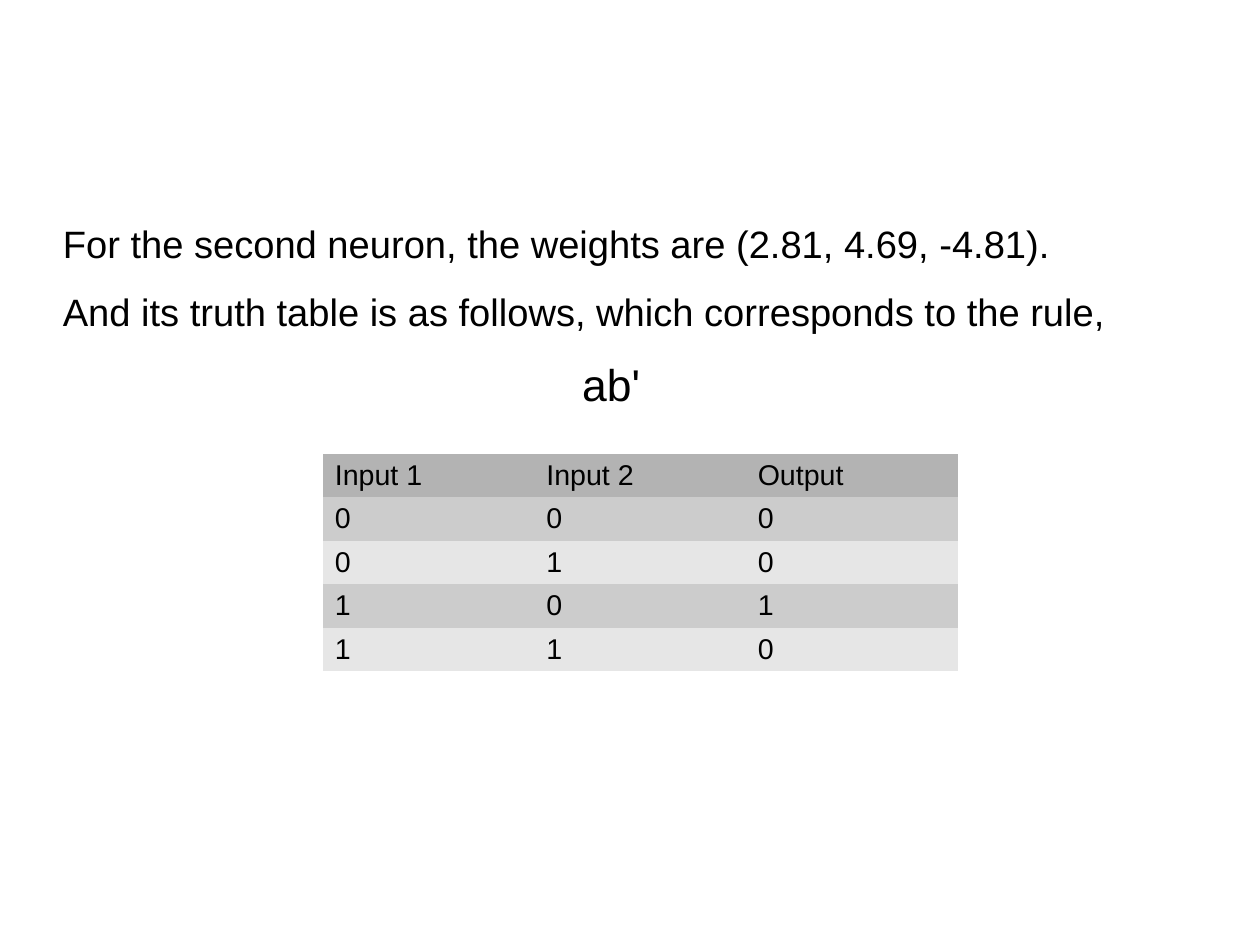
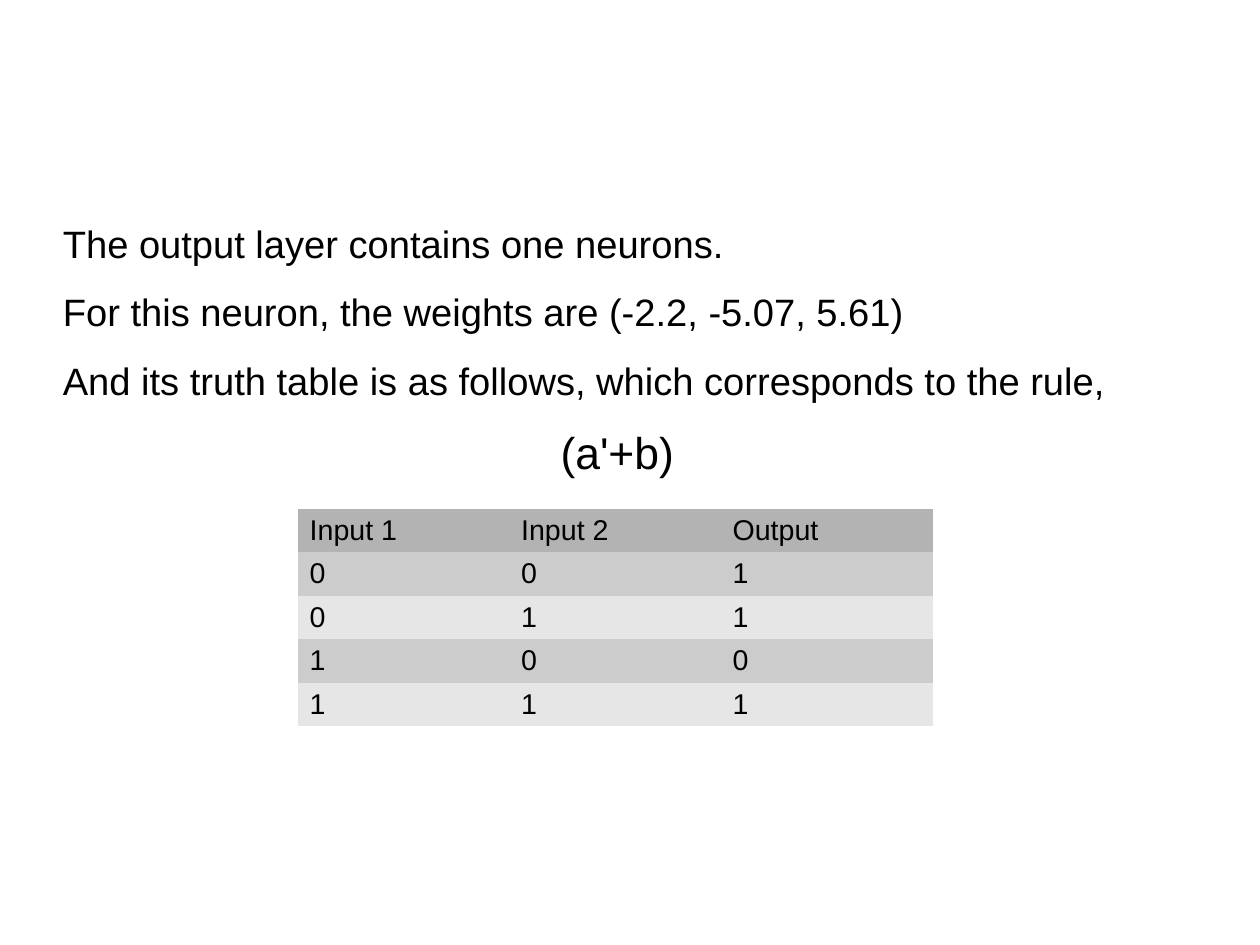
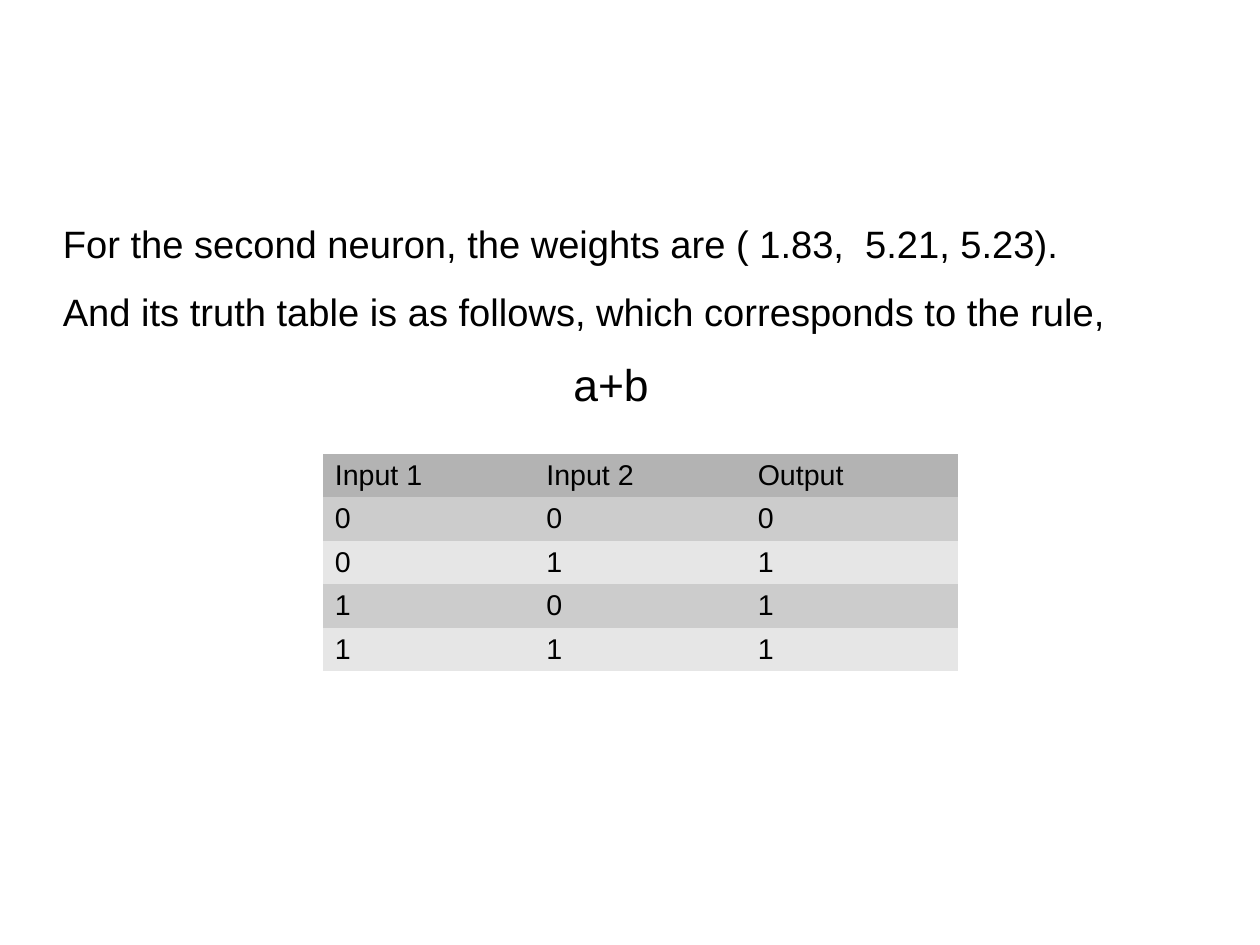
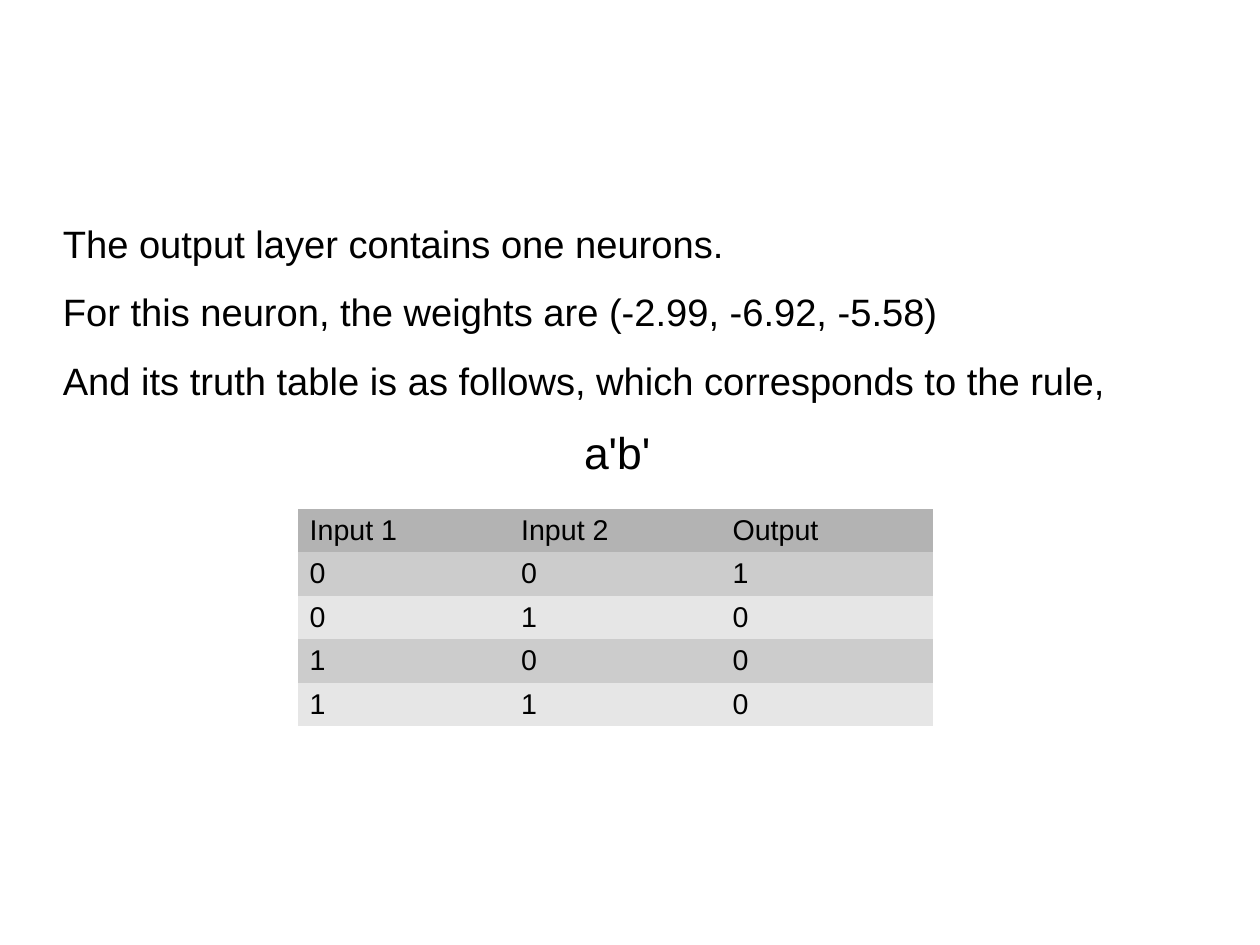
from dataclasses import dataclass
from itertools import product

from lxml.etree import SubElement
from pptx import Presentation
from pptx.dml.color import RGBColor
from pptx.enum.text import MSO_ANCHOR, MSO_AUTO_SIZE, PP_ALIGN
from pptx.oxml.ns import qn
from pptx.util import Inches, Pt

RULE_LEAD = "And its truth table is as follows, which corresponds to the rule,"
OUTPUT_LAYER = "The output layer contains one neurons."
HEADINGS = ("Input 1", "Input 2", "Output")
HIDDEN_TABLE_AT = (2.83, 3.97)
OUTPUT_TABLE_AT = (2.61, 4.45)

NEURONS = [
    {
        "statements": ["For the second neuron, the weights are (2.81, 4.69, -4.81)."],
        "rule": "ab' ",
        "outputs": (0, 0, 1, 0),
        "table_at": HIDDEN_TABLE_AT,
    },
    {
        "statements": [OUTPUT_LAYER, "For this neuron, the weights are (-2.2, -5.07, 5.61)"],
        "rule": "(a'+b)",
        "outputs": (1, 1, 0, 1),
        "table_at": OUTPUT_TABLE_AT,
    },
    {
        "statements": ["For the second neuron, the weights are ( 1.83,  5.21, 5.23)."],
        "rule": "a+b ",
        "outputs": (0, 1, 1, 1),
        "table_at": HIDDEN_TABLE_AT,
    },
    {
        "statements": [OUTPUT_LAYER, "For this neuron, the weights are (-2.99, -6.92, -5.58)"],
        "rule": "a'b'",
        "outputs": (1, 0, 0, 0),
        "table_at": OUTPUT_TABLE_AT,
    },
]


@dataclass(frozen=True)
class Theme:
    font: str = "Arial"
    ink: RGBColor = RGBColor(0, 0, 0)
    background: RGBColor = RGBColor(255, 255, 255)
    header_fill: RGBColor = RGBColor(0xB3, 0xB3, 0xB3)
    band_fills: tuple = (RGBColor(0xCC, 0xCC, 0xCC), RGBColor(0xE6, 0xE6, 0xE6))
    statement_size: Pt = Pt(24)
    rule_size: Pt = Pt(28)
    table_size: Pt = Pt(18)
    space_after: Pt = Pt(14.2)
    plain_table_style: str = "{2D5ABB26-0587-4C30-8999-92F81FD0307C}"


THEME = Theme()
CM_PER_INCH = 2.54
SLIDE_WIDTH = Inches(28 / CM_PER_INCH)
SLIDE_HEIGHT = Inches(21 / CM_PER_INCH)
COLUMN_WIDTH = Inches(1.85)
ROW_HEIGHT = Inches(0.38)


def write(paragraph, text, size):
    paragraph.text = text
    paragraph.font.name = THEME.font
    paragraph.font.size = size
    paragraph.font.color.rgb = THEME.ink


def remove_bullet(paragraph):
    properties = paragraph._p.get_or_add_pPr()
    properties.set("marL", "0")
    properties.set("indent", "0")
    SubElement(properties, qn("a:buNone"))


def fill_body(body, statements, rule):
    body.left, body.top = Inches(0.55), Inches(1.93)
    body.width, body.height = Inches(9.7), Inches(4.79)
    frame = body.text_frame
    frame.word_wrap = True
    frame.auto_size = MSO_AUTO_SIZE.NONE
    frame.vertical_anchor = MSO_ANCHOR.TOP
    frame.margin_left = frame.margin_right = frame.margin_top = frame.margin_bottom = 0
    lines = [(text, THEME.statement_size, PP_ALIGN.LEFT) for text in statements + [RULE_LEAD]]
    lines.append((rule, THEME.rule_size, PP_ALIGN.CENTER))
    for index, (text, size, alignment) in enumerate(lines):
        paragraph = frame.add_paragraph() if index else frame.paragraphs[0]
        paragraph.alignment = alignment
        paragraph.space_before = Pt(0)
        paragraph.space_after = THEME.space_after
        remove_bullet(paragraph)
        write(paragraph, text, size)


def add_truth_table(page, position, outputs):
    rows = [HEADINGS]
    rows += [(*inputs, output) for inputs, output in zip(product((0, 1), repeat=2), outputs)]
    left, top = map(Inches, position)
    shape = page.shapes.add_table(
        len(rows), len(HEADINGS), left, top,
        COLUMN_WIDTH * len(HEADINGS), ROW_HEIGHT * len(rows),
    )
    next(shape.element.iter(qn("a:tableStyleId"))).text = THEME.plain_table_style
    for row_index, values in enumerate(rows):
        fill = THEME.band_fills[(row_index - 1) % 2] if row_index else THEME.header_fill
        for column_index, value in enumerate(values):
            cell = shape.table.cell(row_index, column_index)
            cell.fill.solid()
            cell.fill.fore_color.rgb = fill
            write(cell.text_frame.paragraphs[0], str(value), THEME.table_size)


def main():
    deck = Presentation()
    deck.slide_width, deck.slide_height = SLIDE_WIDTH, SLIDE_HEIGHT
    background = deck.slide_master.background.fill
    background.solid()
    background.fore_color.rgb = THEME.background
    for neuron in NEURONS:
        page = deck.slides.add_slide(deck.slide_layouts[1])
        title = page.shapes.title.element
        title.getparent().remove(title)
        fill_body(page.placeholders[1], neuron["statements"], neuron["rule"])
        add_truth_table(page, neuron["table_at"], neuron["outputs"])
    deck.save("out.pptx")


if __name__ == "__main__":
    main()
